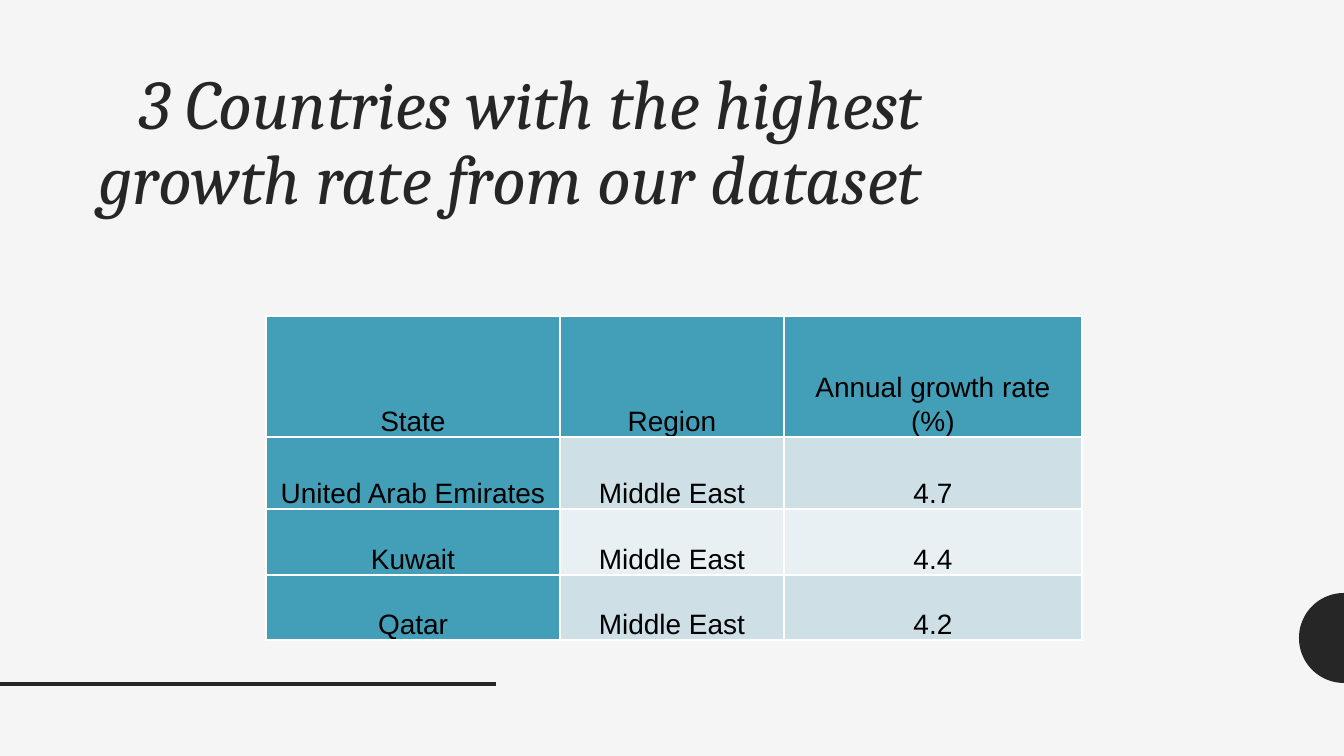
import math

import pptx
import pptx.dml.color
import pptx.enum.shapes
import pptx.enum.text
import pptx.oxml
import pptx.oxml.ns
import pptx.util

TITLE = "3 Countries with the highest growth rate from our dataset"
ROWS = [
    ("State", "Region", "Annual growth rate (%)"),
    ("United Arab Emirates", "Middle East", "4.7"),
    ("Kuwait", "Middle East", "4.4"),
    ("Qatar", "Middle East", "4.2"),
]
WIDTHS = (294, 224, 298)
HEIGHTS = (121, 72, 66, 65)
INK, PAPER, WHITE, BLACK = "262626", "F5F5F5", "FFFFFF", "000000"
TEAL, BANDS = "439EB7", ("E9F0F3", "CFDFE6")
ALIGN = pptx.enum.text.PP_ALIGN
ANCHOR = pptx.enum.text.MSO_ANCHOR
Pt = pptx.util.Pt


def px(n):
    return pptx.util.Emu(round(n * 914400 / 134.4))


def rgb(code):
    return pptx.dml.color.RGBColor.from_string(code)


def paint(fill, code):
    fill.solid()
    fill.fore_color.rgb = rgb(code)


def style(par, font, size, code, align, gap):
    par.alignment = align
    par.line_spacing = gap
    for run in par.runs:
        run.font.name = font
        run.font.size = Pt(size)
        run.font.color.rgb = rgb(code)


def rule(cell, code, width):
    """Draw all four borders; they must come before the fill in tcPr."""
    props = cell._tc.get_or_add_tcPr()
    for at, side in enumerate(("lnL", "lnR", "lnT", "lnB")):
        props.insert(at, pptx.oxml.parse_xml(
            f'<a:{side} {pptx.oxml.ns.nsdecls("a")} w="{Pt(width)}">'
            f'<a:solidFill><a:srgbClr val="{code}"/></a:solidFill></a:{side}>'))


def add_disc(slide, x, y, radius):
    """Add the left half of a disc centred on the slide's right edge."""
    turns = [math.pi * (0.5 + step / 36) for step in range(37)]
    points = [(px(x + radius * math.cos(turn)), px(y + radius * math.sin(turn)))
              for turn in turns]
    pen = slide.shapes.build_freeform(*points[0])
    pen.add_line_segments(points[1:], close=True)
    disc = pen.convert_to_shape()
    disc.shadow.inherit = False
    paint(disc.fill, INK)
    disc.line.fill.background()


def add_line(slide, x, y, end):
    line = slide.shapes.add_connector(
        pptx.enum.shapes.MSO_CONNECTOR.STRAIGHT, px(x), px(y), px(end), px(y))
    line.line.color.rgb = rgb(INK)
    line.line.width = Pt(2)
    line._element.spPr.append(pptx.oxml.parse_xml(
        f'<a:effectLst {pptx.oxml.ns.nsdecls("a")}/>'))


def set_title(slide):
    title = slide.shapes.title
    title.left, title.top, title.width, title.height = map(px, (83, 62, 853, 546))
    frame = title.text_frame
    frame.text = TITLE
    frame.word_wrap = True
    frame.auto_size = pptx.enum.text.MSO_AUTO_SIZE.NONE
    frame.vertical_anchor = ANCHOR.TOP
    style(frame.paragraphs[0], "Cambria", 37.5, INK, ALIGN.RIGHT, 0.9)
    frame.paragraphs[0].runs[0].font.italic = True


def add_grid(slide, x, y):
    grid = slide.shapes.add_table(
        len(ROWS), len(WIDTHS), px(x), px(y), px(sum(WIDTHS)), px(sum(HEIGHTS))).table
    for col, width in zip(grid.columns, WIDTHS):
        col.width = px(width)
    for r, (row, height) in enumerate(zip(ROWS, HEIGHTS)):
        grid.rows[r].height = px(height)
        for c, text in enumerate(row):
            cell = grid.cell(r, c)
            cell.text_frame.text = text
            cell.vertical_anchor = ANCHOR.BOTTOM
            cell.margin_left = cell.margin_right = px(8)
            cell.margin_top = cell.margin_bottom = 0
            par = cell.text_frame.paragraphs[0]
            style(par, "Arial", 15, BLACK, ALIGN.CENTER, 1.07)
            par.runs[0].font.bold = False
            if c == len(row) - 1:
                par.space_after = Pt(8)
            paint(cell.fill, TEAL if r == 0 or c == 0 else BANDS[r % 2])
            rule(cell, WHITE, 1)


def main():
    deck = pptx.Presentation()
    deck.slide_width, deck.slide_height = px(1344), px(756)
    slide = deck.slides.add_slide(deck.slide_layouts[5])
    paint(slide.background.fill, PAPER)
    add_disc(slide, 1344, 638, 45)
    add_line(slide, 0, 684, 496)
    set_title(slide)
    add_grid(slide, 266, 316)
    deck.save("out.pptx")


if __name__ == "__main__":
    main()
